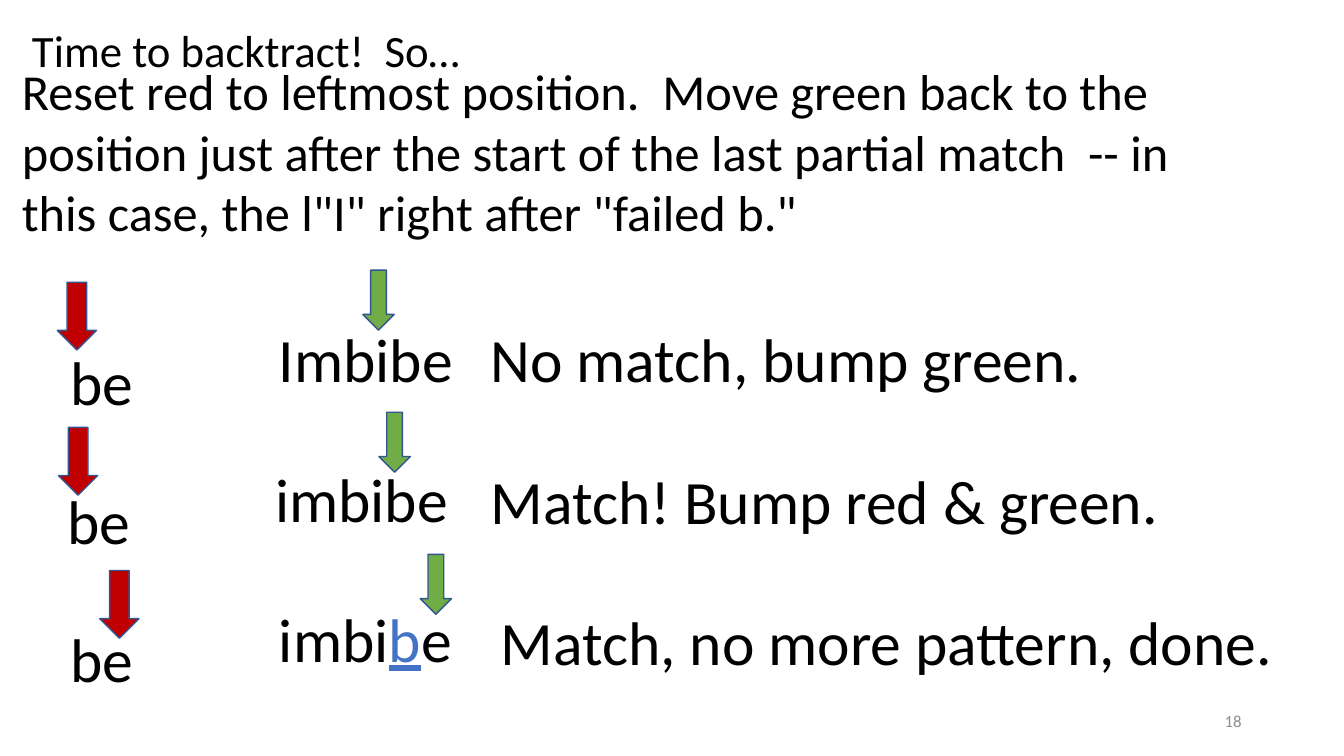
from dataclasses import dataclass

from pptx import Presentation
from pptx.dml.color import RGBColor
from pptx.enum.shapes import MSO_SHAPE as Shape
from pptx.enum.text import MSO_ANCHOR as Anchor, MSO_AUTO_SIZE as AutoSize, PP_ALIGN as Align
from pptx.util import Pt


@dataclass(frozen=True)
class Theme:
    font: str = "Calibri"
    text: str = "000000"
    muted: str = "8C8C8C"
    accent: str = "4472C4"
    red: str = "C00000"
    green: str = "70AD47"
    outline: str = "325491"
    title_size: int = 32
    body_size: int = 36
    word_size: int = 44
    number_size: int = 12


theme = Theme()


def add_text(shapes, text, left, top, width, height, size=theme.word_size,
             color=theme.text, align=Align.LEFT, anchor=Anchor.TOP,
             fit=AutoSize.SHAPE_TO_FIT_TEXT, marked=None):
    """Add a text box; the run at index marked is underlined in the accent colour."""
    frame = shapes.add_textbox(Pt(left), Pt(top), Pt(width), Pt(height)).text_frame
    frame.word_wrap = True
    frame.auto_size = fit
    frame.vertical_anchor = anchor
    paragraph = frame.paragraphs[0]
    paragraph.alignment = align
    for index, part in enumerate([text] if isinstance(text, str) else text):
        run = paragraph.add_run()
        run.text = part
        run.font.name = theme.font
        run.font.size = Pt(size)
        run.font.color.rgb = RGBColor.from_string(theme.accent if index == marked else color)
        if index == marked:
            run.font.underline = True


def add_arrow(shapes, left, top, width, height, color):
    arrow = shapes.add_shape(Shape.DOWN_ARROW, Pt(left), Pt(top), Pt(width), Pt(height))
    arrow.shadow.inherit = False
    arrow.fill.solid()
    arrow.fill.fore_color.rgb = RGBColor.from_string(color)
    arrow.line.color.rgb = RGBColor.from_string(theme.outline)
    arrow.line.width = Pt(1)


presentation = Presentation()
presentation.slide_width = Pt(960)
presentation.slide_height = Pt(540)
slide = presentation.slides.add_slide(presentation.slide_layouts[6])

# Slide number
add_text(slide.shapes, "18", 678, 500.5, 216, 28.75, size=theme.number_size,
         color=theme.muted, align=Align.RIGHT, anchor=Anchor.MIDDLE, fit=AutoSize.NONE)

# Explanation
add_text(slide.shapes,
         "Reset red to leftmost position.  Move green back to the position just after "
         "the start of the last partial match  -- in this case, the l\"I\" right after "
         "\"failed b.\"",
         8.6, 39.6, 884, 138.2, size=theme.body_size)

# Matching steps: positions are (left, top)
steps = [
    dict(red=(41, 201.6), green=(259.2, 193), pattern=(43.2, 242), word=(192.2, 226),
         letters="Imbibe", marked=None,
         note=(343.4, 226, 495.4), comment="No match, bump green."),
    dict(red=(41.8, 305.3), green=(270.7, 294.5), pattern=(41, 341.3), word=(189.4, 325.4),
         letters="imbibe", marked=None,
         note=(343.4, 327, 495.4), comment="Match! Bump red & green."),
    dict(red=(71.3, 407.5), green=(300.2, 396), pattern=(43.2, 440), word=(192.2, 425.5),
         letters=["imbi", "b", "e"], marked=1,
         note=(340.6, 427.7, 587.5), comment=" Match, no more pattern, done."),
]
for step in steps:
    group = slide.shapes.add_group_shape()
    add_arrow(group.shapes, *step["red"], 28, 48.4, theme.red)
    add_arrow(group.shapes, *step["green"], 22.4, 42.8, theme.green)
    add_text(group.shapes, "be", *step["pattern"], 85, 60.6)
    add_text(group.shapes, step["letters"], *step["word"], 151.2, 60.6, marked=step["marked"])
    add_text(slide.shapes, step["comment"], *step["note"], 60.6)

# Heading
add_text(slide.shapes, "Time to backtract!  So…", 15.8, 13, 731.5, 46, size=theme.title_size)

presentation.save("out.pptx")
